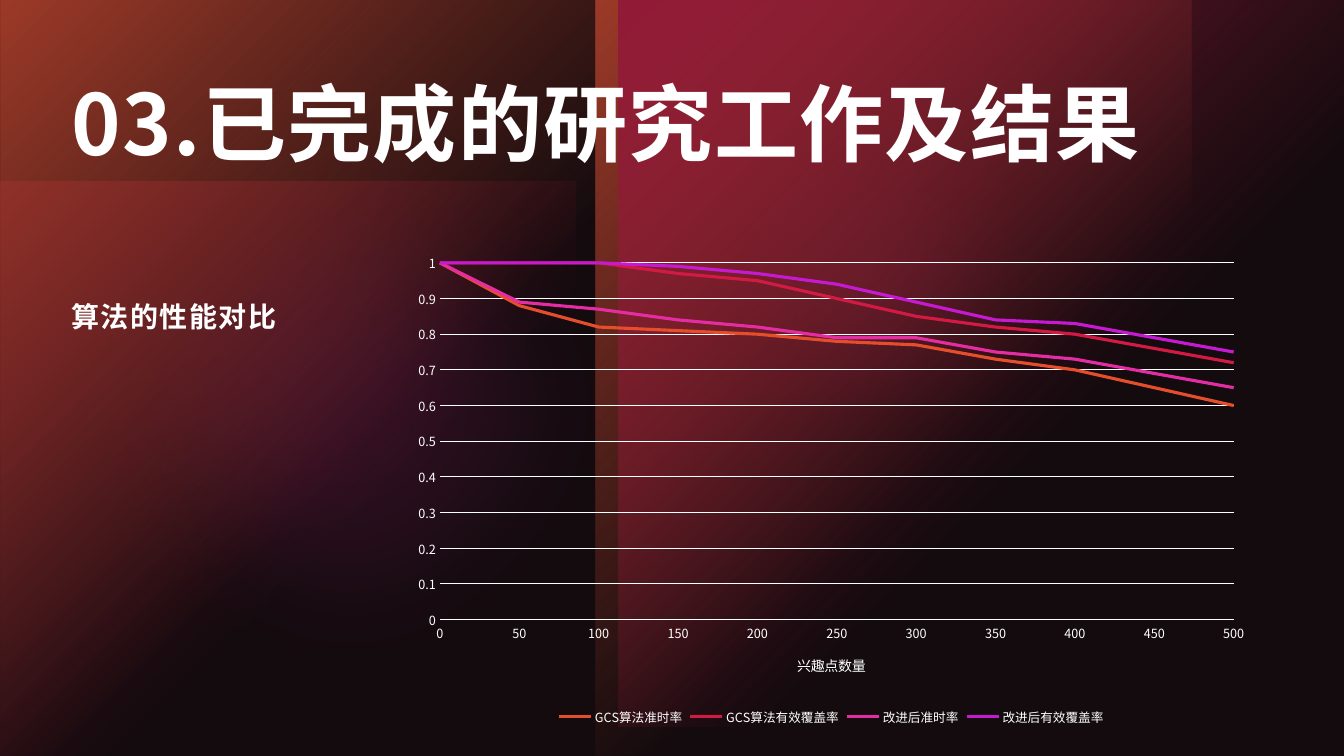
from lxml.etree import SubElement
from pptx import Presentation
from pptx.chart.data import CategoryChartData
from pptx.dml.color import RGBColor
from pptx.enum.chart import XL_CHART_TYPE as Chart, XL_LEGEND_POSITION as Legend, XL_TICK_MARK as Tick
from pptx.enum.shapes import MSO_SHAPE as Shape
from pptx.oxml import parse_xml
from pptx.oxml.ns import nsdecls, qn
from pptx.util import Inches, Pt

W, H = 13.33, 7.5
FONT = "Noto Sans CJK SC"
BLACK = RGBColor(0x00, 0x00, 0x00)
WHITE = RGBColor(0xFF, 0xFF, 0xFF)
VEIL = RGBColor(0x31, 0x1C, 0x24)
ORANGE = RGBColor(0xE4, 0x4E, 0x2C)
RED = RGBColor(0xD2, 0x1A, 0x45)
PINK = RGBColor(0xE4, 0x2C, 0xA3)
VIOLET = RGBColor(0xC6, 0x1A, 0xD2)

SERIES = [
    ("GCS算法准时率", ORANGE, (1, 0.88, 0.82, 0.81, 0.8, 0.78, 0.77, 0.73, 0.7, 0.65, 0.6)),
    ("GCS算法有效覆盖率", RED, (1, 1, 1, 0.97, 0.95, 0.9, 0.85, 0.82, 0.8, 0.76, 0.72)),
    ("改进后准时率", PINK, (1, 0.89, 0.87, 0.84, 0.82, 0.79, 0.79, 0.75, 0.73, 0.69, 0.65)),
    ("改进后有效覆盖率", VIOLET, (1, 1, 1, 0.99, 0.97, 0.94, 0.89, 0.84, 0.83, 0.79, 0.75)),
]


def add_plain(s, kind, x, y, w, h, color, alpha=100):
    """Add a borderless shape with a translucent solid fill."""
    sp = s.shapes.add_shape(kind, Inches(x), Inches(y), Inches(w), Inches(h))
    sp.shadow.inherit = False
    sp.line.fill.background()
    sp.fill.solid()
    sp.fill.fore_color.rgb = color
    clr = sp._element.spPr.find(qn("a:solidFill"))[0]
    SubElement(clr, qn("a:alpha")).set("val", str(alpha * 1000))
    return sp


def add_glow(s, x, y, size, color, alpha):
    """Add a circle with a soft edge."""
    sp = add_plain(s, Shape.OVAL, x, y, size, size, color, alpha)
    effects = sp._element.spPr.find(qn("a:effectLst"))
    SubElement(effects, qn("a:softEdge")).set("rad", str(Pt(100)))


def add_corner_light(s, x, y, w, h, color, alpha=100, rot=180, flip_h=False):
    """Add a rectangle whose colour fades out from one corner."""
    sp = add_plain(s, Shape.RECTANGLE, x, y, w, h, color)
    sp.rotation = rot
    xfrm = sp._element.spPr.find(qn("a:xfrm"))
    xfrm.set("flipV", "1")
    if flip_h:
        xfrm.set("flipH", "1")
    stops = "".join(
        f'<a:gs pos="{pos}"><a:srgbClr val="{color}"><a:alpha val="{a * 1000}"/></a:srgbClr></a:gs>'
        for pos, a in ((0, alpha), (60000, 0)))
    grad = parse_xml(
        f'<a:gradFill {nsdecls("a")} rotWithShape="1"><a:gsLst>{stops}</a:gsLst>'
        '<a:path path="circle"><a:fillToRect r="100000" b="100000"/></a:path></a:gradFill>')
    solid = sp._element.spPr.find(qn("a:solidFill"))
    solid.getparent().replace(solid, grad)


def set_font(font, size, bold=False):
    """Apply the white slide font at a size."""
    font.name, font.size, font.bold = FONT, Pt(size), bold
    font.color.rgb = WHITE
    ea = parse_xml(f'<a:ea {nsdecls("a")} typeface="{FONT}"/>')
    font._element.find(qn("a:latin")).addnext(ea)


def add_heading(s, y, h, text, size, spacing=None, before=0):
    """Add a bold, slightly spaced heading across the slide."""
    tf = s.shapes.add_textbox(Inches(0.59), Inches(y), Inches(12.14), Inches(h)).text_frame
    tf.word_wrap = True
    tf.margin_left = tf.margin_right = tf.margin_top = Inches(0.12)
    tf.margin_bottom = Inches(0.1)
    p = tf.paragraphs[0]
    p.line_spacing, p.space_before = spacing, Pt(before)
    r = p.add_run()
    r.text = text
    set_font(r.font, size, bold=True)
    r.font._element.set("spc", "100")


def style_axes(chart):
    """Format both axes, the gridlines and the axis title."""
    cat, val = chart.category_axis, chart.value_axis
    for axis in (cat, val):
        axis.major_tick_mark = axis.minor_tick_mark = Tick.NONE
        set_font(axis.tick_labels.font, 9)
    val.minimum_scale, val.maximum_scale, val.major_unit = 0, 1, 0.1
    val.format.line.fill.background()
    between = parse_xml(f'<c:crossBetween {nsdecls("c")} val="midCat"/>')
    val._element.find(qn("c:crosses")).addnext(between)
    for line in (cat.format.line, val.major_gridlines.format.line):
        line.color.rgb = WHITE
        line.width = Pt(0.75)
    r = cat.axis_title.text_frame.paragraphs[0].add_run()
    r.text = "兴趣点数量"
    set_font(r.font, 10)


def place_plot(chart, x, y, w, h):
    """Fix the inner plot area, as shares of the chart."""
    area = chart._chartSpace.chart.plotArea
    for old in area.findall(qn("c:layout")):
        area.remove(old)
    sizes = "".join(f'<c:{k} val="{v}"/>' for k, v in zip("xywh", (x, y, w, h)))
    area.insert(0, parse_xml(
        f'<c:layout {nsdecls("c")}><c:manualLayout><c:layoutTarget val="inner"/>'
        f'<c:xMode val="edge"/><c:yMode val="edge"/>{sizes}</c:manualLayout></c:layout>'))


def add_line_chart(s, x, y, w, h):
    """Add the algorithm comparison line chart."""
    data = CategoryChartData()
    data.categories = [str(n) for n in range(0, 501, 50)]
    for name, _, values in SERIES:
        data.add_series(name, values)
    chart = s.shapes.add_chart(Chart.LINE, Inches(x), Inches(y), Inches(w), Inches(h), data).chart
    set_font(chart.font, 10)
    chart.has_title = False
    chart.has_legend = True
    chart.legend.position = Legend.BOTTOM
    chart.legend.include_in_layout = False
    set_font(chart.legend.font, 9)
    plot = chart.plots[0]
    plot.vary_by_categories = False
    for series, (_, color, _) in zip(plot.series, SERIES):
        series.smooth = False
        series.format.line.color.rgb = color
        series.format.line.width = Pt(2.25)
    style_axes(chart)
    place_plot(chart, 0.045, 0.037, 0.923, 0.736)


def add_backdrop(s):
    """Paint the layered coloured lights over black."""
    s.background.fill.solid()
    s.background.fill.fore_color.rgb = BLACK
    half = 5.91
    add_corner_light(s, 0, 1.8, 5.71, 5.71, RED, alpha=60, rot=0)
    add_glow(s, 6.29, 0.43, 4.72, PINK, 60)
    add_glow(s, 0, 0.56, 6.94, PINK, 20)
    add_corner_light(s, 0, 0, half, H, ORANGE)
    add_corner_light(s, half, 0, half, H, ORANGE, flip_h=True)
    add_corner_light(s, 6.13, 0, 7.21, 7.21, RED)
    add_plain(s, Shape.RECTANGLE, 0, 0, W, H, VEIL, 40)


def main():
    """Build and save the slide."""
    prs = Presentation()
    prs.slide_width, prs.slide_height = Inches(W), Inches(H)
    s = prs.slides.add_slide(prs.slide_layouts[6])
    add_backdrop(s)
    add_heading(s, 0.59, 1.98, "03.已完成的研究工作及结果", 60)
    add_heading(s, 2.77, 4.13, "算法的性能对比", 20, spacing=1.25, before=10)
    add_line_chart(s, 3.98, 2.43, 8.53, 4.81)
    prs.save("out.pptx")


main()
